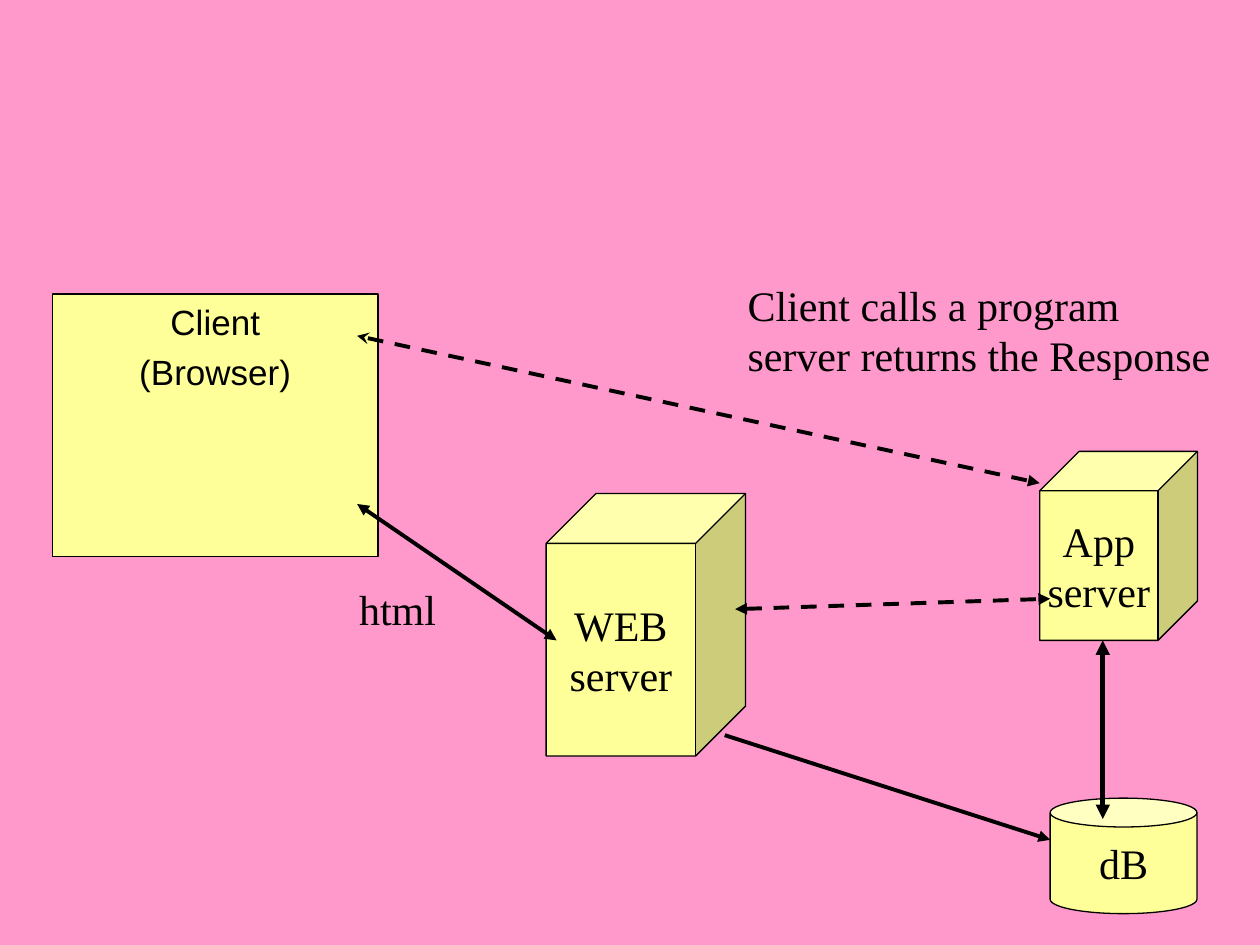
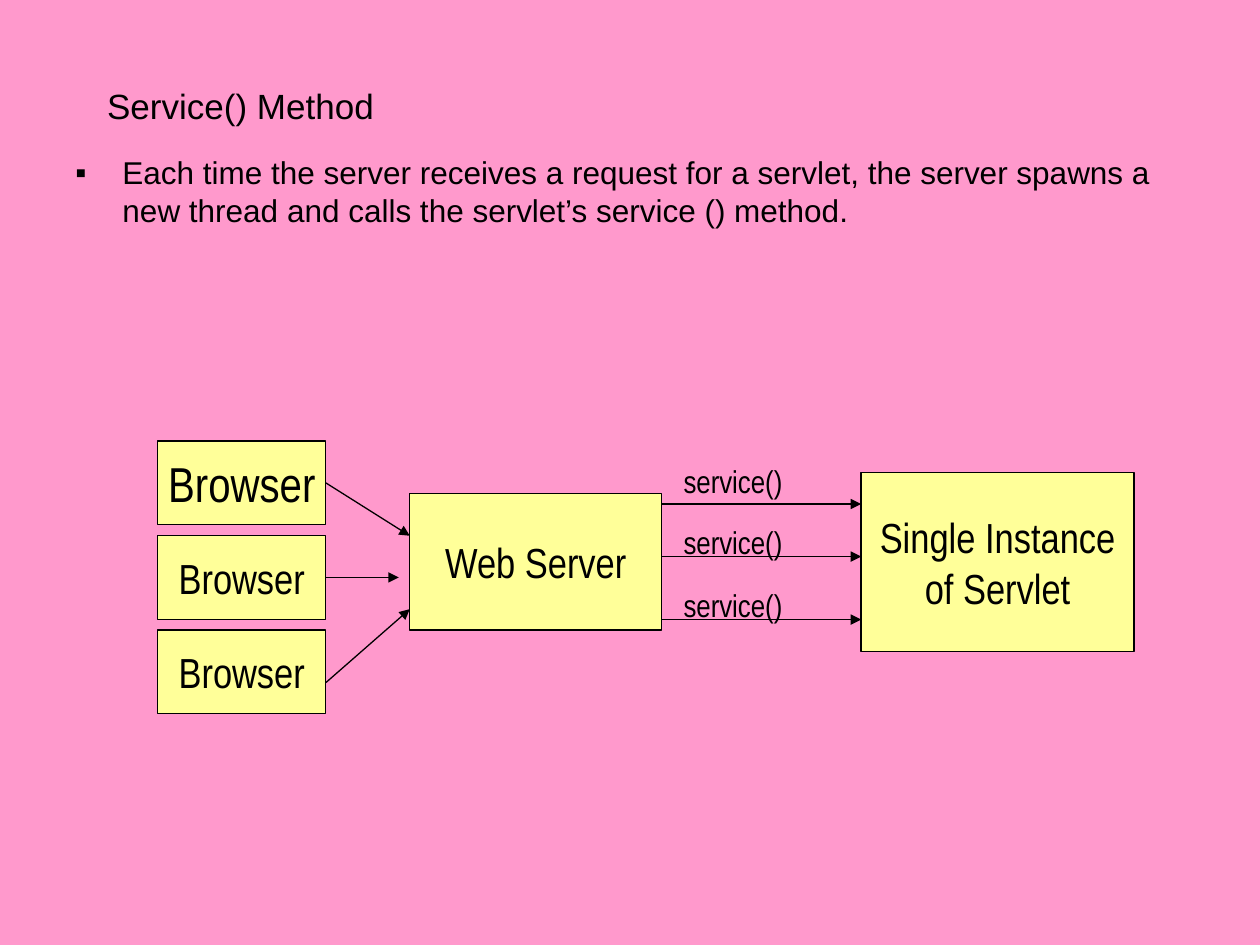
from lxml.etree import SubElement as Sub
from pptx import Presentation
from pptx.dml.color import RGBColor
from pptx.enum.dml import MSO_LINE as Dash
from pptx.enum.shapes import MSO_CONNECTOR as Link, MSO_SHAPE as Form
from pptx.enum.text import MSO_ANCHOR as Anchor, PP_ALIGN as Align
from pptx.oxml.ns import qn
from pptx.util import Cm, Pt

PINK = RGBColor(0xFF, 0x99, 0xCC)
YELLOW = RGBColor(0xFF, 0xFF, 0x99)
BLACK = RGBColor(0, 0, 0)
SERIF, SANS, NARROW = "Times New Roman", "Arial", "Arial Narrow"


def add_page(deck):
    """Add a blank slide with the pink background."""
    page = deck.slides.add_slide(deck.slide_layouts[6])
    page.background.fill.solid()
    page.background.fill.fore_color.rgb = PINK
    return page


def write(shape, text, font, size, align, anchor, wrap, before=0):
    """Put formatted text into a shape."""
    frame = shape.text_frame
    frame.text = text
    frame.word_wrap = wrap
    frame.vertical_anchor = anchor
    for para in frame.paragraphs:
        para.alignment = align
        para.space_before = Pt(before)
        for run in para.runs:
            run.font.name = font
            run.font.size = Pt(size)
            run.font.color.rgb = BLACK


def add_node(page, form, area, text, font, size=24, anchor=Anchor.MIDDLE,
             wrap=False, before=0):
    """Add a yellow outlined shape with centred text."""
    node = page.shapes.add_shape(form, *map(Cm, area))
    node.shadow.inherit = False
    node.fill.solid()
    node.fill.fore_color.rgb = YELLOW
    node.line.color.rgb = BLACK
    node.line.width = Pt(0.75)
    write(node, text, font, size, Align.CENTER, anchor, wrap, before)
    return node


def add_label(page, area, text, font, size, anchor=Anchor.TOP, wrap=False,
              before=0):
    """Add a left-aligned text box."""
    label = page.shapes.add_textbox(*map(Cm, area))
    write(label, text, font, size, Align.LEFT, anchor, wrap, before)
    return label


def add_bullet(para):
    """Give a paragraph a square bullet and a hanging indent."""
    props = para._p.get_or_add_pPr()
    props.set("marL", str(Cm(0.95)))
    props.set("indent", str(-Cm(0.95)))
    Sub(props, qn("a:buFont")).set("typeface", SANS)
    Sub(props, qn("a:buChar")).set("char", "▪")


def add_arrow(page, start, end, width=0.75, head=None, dash=False):
    """Add a black arrow, with a second head at its start if one is named."""
    arrow = page.shapes.add_connector(Link.STRAIGHT, *map(Cm, start + end))
    arrow.line.color.rgb = BLACK
    arrow.line.width = Pt(width)
    if dash:
        arrow.line.dash_style = Dash.DASH
    stroke = arrow.line._get_or_add_ln()
    if head:
        Sub(stroke, qn("a:headEnd")).set("type", head)
    Sub(stroke, qn("a:tailEnd")).set("type", "triangle")
    Sub(arrow._element.spPr, qn("a:effectLst"))
    return arrow


def draw_tiers(page):
    """Draw the client, the two servers and the database."""
    add_node(page, Form.CUBE, (11.01, 9.95, 4.02, 5.29), "WEB\nserver", SERIF)
    add_node(page, Form.CUBE, (20.96, 9.1, 3.18, 3.81), "App\nserver", SERIF)
    add_node(page, Form.CAN, (21.17, 16.09, 2.96, 2.33), "dB", SERIF, before=28)
    add_arrow(page, (22.23, 12.91), (22.23, 16.51), 2.75, "triangle")
    add_node(page, Form.RECTANGLE, (1.06, 5.93, 6.56, 5.29),
             "Client\n(Browser)", SANS, 20, Anchor.TOP, True, 4.6)
    add_arrow(page, (7.2, 10.16), (11.22, 12.91), 2.25, "triangle")
    add_label(page, (6.99, 11.64, 3.39, 1.27), "html", SERIF, 24, wrap=True)
    add_arrow(page, (7.2, 6.77), (20.96, 9.74), 2.25, "stealth", True)
    add_arrow(page, (14.82, 12.28), (21.17, 12.07), 2.25, "triangle", True)
    add_label(page, (14.82, 5.5, 9.86, 2.29),
              "Client calls a program\nserver returns the Response", SERIF, 24)
    add_arrow(page, (14.61, 14.82), (21.17, 16.93), 2.25)


def draw_service(page):
    """Draw the service method slide with its request flow."""
    add_label(page, (1.91, 1.52, 21.39, 1.22), "Service() Method", SANS, 20,
              Anchor.MIDDLE, True)
    body = add_label(page, (1.27, 2.97, 22.86, 14.05),
                     "Each time the server receives a request for a servlet, "
                     "the server spawns a new thread and calls the servlet’s "
                     "service () method.", SANS, 18, wrap=True, before=4)
    add_bullet(body.text_frame.paragraphs[0])

    top, step = 8.89, 1.905
    users = [add_node(page, Form.RECTANGLE, (3.18, top + i * step, 3.39, 1.69),
                      "Browser", NARROW, size)
             for i, size in enumerate((28, 24, 24))]
    add_node(page, Form.RECTANGLE, (8.26, 9.95, 5.08, 2.75), "Web Server",
             NARROW)
    add_node(page, Form.RECTANGLE, (17.36, 9.53, 5.5, 3.6),
             "Single Instance\nof Servlet", NARROW)

    ends = ((8.26, 10.8), (8.04, 11.64), (8.26, 12.28))
    for user, from_y, end in zip(users, (9.74, 11.64, 13.76), ends):
        arrow = add_arrow(page, (6.57, from_y), end)
        if user is not users[-1]:
            arrow.begin_connect(user, 3)

    for y, text_y in ((10.16, 9.19), (11.22, 10.41), (12.49, 11.68)):
        add_arrow(page, (13.34, y), (17.36, y))
        add_label(page, (13.53, text_y, 2.51, 1.02), "service()", NARROW, 18)


def main():
    """Build and save the two slides."""
    deck = Presentation()
    deck.slide_width, deck.slide_height = Cm(25.4), Cm(19.05)
    for draw in (draw_tiers, draw_service):
        draw(add_page(deck))
    deck.save("out.pptx")


if __name__ == "__main__":
    main()
